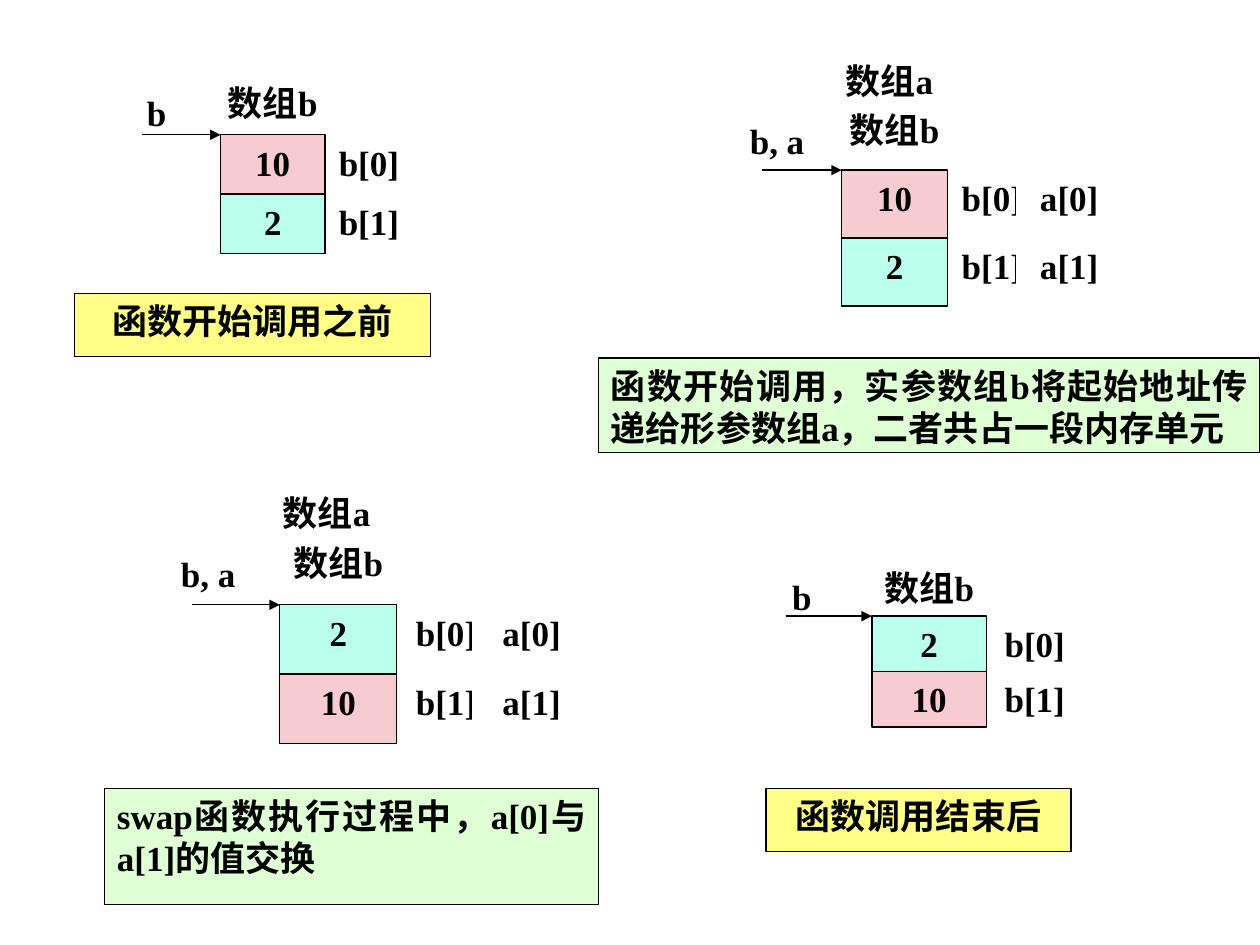
import pptx
import pptx.dml.color
import pptx.enum.shapes
import pptx.enum.text
import pptx.oxml.ns
import pptx.util
from lxml import etree
from pptx.util import Inches

BLACK, WHITE = "000000", "FFFFFF"
PINK, AQUA = "F7CBD2", "BBFFED"
YELLOW, GREEN = "FFFF87", "DFFFD5"
CENTER = pptx.enum.text.PP_ALIGN.CENTER
JUSTIFY = pptx.enum.text.PP_ALIGN.JUSTIFY


def rgb(color):
    return pptx.dml.color.RGBColor.from_string(color)


def add_box(slide, x, y, w, h, text, fill=WHITE, line=BLACK, align=CENTER):
    sp = slide.shapes.add_shape(pptx.enum.shapes.MSO_SHAPE.RECTANGLE,
                                Inches(x), Inches(y), Inches(w), Inches(h))
    sp.shadow.inherit = False
    sp.fill.solid()
    sp.fill.fore_color.rgb = rgb(fill)
    sp.line.color.rgb = rgb(line)
    sp.line.width = pptx.util.Pt(0.75)
    tf = sp.text_frame
    tf.word_wrap = True
    tf.vertical_anchor = pptx.enum.text.MSO_ANCHOR.TOP
    p = tf.paragraphs[0]
    p.text = text
    p.alignment = align
    p.font.name = "Times New Roman"
    p.font.size = pptx.util.Pt(20)
    p.font.bold = True
    p.font.color.rgb = rgb(BLACK)


def add_label(slide, x, y, w, h, text, align=CENTER):
    add_box(slide, x, y, w, h, text, line=WHITE, align=align)


def add_arrow(slide, x1, x2, y):
    line = slide.shapes.add_connector(pptx.enum.shapes.MSO_CONNECTOR.STRAIGHT,
                                      Inches(x1), Inches(y), Inches(x2), Inches(y))
    line.line.color.rgb = rgb(BLACK)
    line.line.width = pptx.util.Pt(0.75)
    ln = line.line._get_or_add_ln()
    etree.SubElement(ln, pptx.oxml.ns.qn("a:tailEnd"), type="triangle")
    etree.SubElement(line._element.spPr, pptx.oxml.ns.qn("a:effectLst"))


def add_array(slide, x, y, w, h, values, shared=False):
    """Draw a two-cell array with its first cell at x, y; shared adds the alias a."""
    if shared:
        add_label(slide, x - 0.08 * w, y - 1.72 * h, 1.26 * w, h, "数组a", JUSTIFY)
    add_label(slide, x - 0.25 * w, y - h, 1.5 * w, h, "数组b")
    add_label(slide, x - 1.11 * w, y - 0.84 * h, w, h, "b, a" if shared else "b")
    for i, value in enumerate(values):
        add_label(slide, x + 0.92 * w, y + i * h, w, h, f"b[{i}]")
    for i, value in enumerate(values):
        fill = PINK if value == 10 else AQUA
        add_box(slide, x, y + i * h, w, h, str(value), fill)
    add_arrow(slide, x - 0.75 * w, x, y)
    if shared:
        for i in range(len(values)):
            add_label(slide, x + 1.65 * w, y + i * h, w, h, f"a[{i}]")


def main():
    prs = pptx.Presentation()
    prs.slide_width, prs.slide_height = Inches(10), Inches(7.5)
    slide = prs.slides.add_slide(prs.slide_layouts[6])

    add_array(slide, 1.75, 1.07, 0.83, 0.47, (10, 2))
    add_array(slide, 6.68, 1.35, 0.84, 0.54, (10, 2), shared=True)
    add_box(slide, 0.59, 2.33, 2.83, 0.5, "函数开始调用之前", YELLOW)
    add_box(slide, 4.75, 2.84, 5.25, 0.75,
            "函数开始调用，实参数组b将起始地址传递给形参数组a，二者共占一段内存单元",
            GREEN, align=JUSTIFY)
    add_array(slide, 2.22, 4.8, 0.93, 0.55, (2, 10), shared=True)
    add_box(slide, 0.83, 6.26, 3.92, 0.92,
            "swap函数执行过程中，a[0]与a[1]的值交换", GREEN, align=JUSTIFY)
    add_array(slide, 6.92, 4.89, 0.91, 0.44, (2, 10))
    add_box(slide, 6.08, 6.26, 2.42, 0.5, "函数调用结束后", YELLOW)

    prs.save("out.pptx")


if __name__ == "__main__":
    main()
